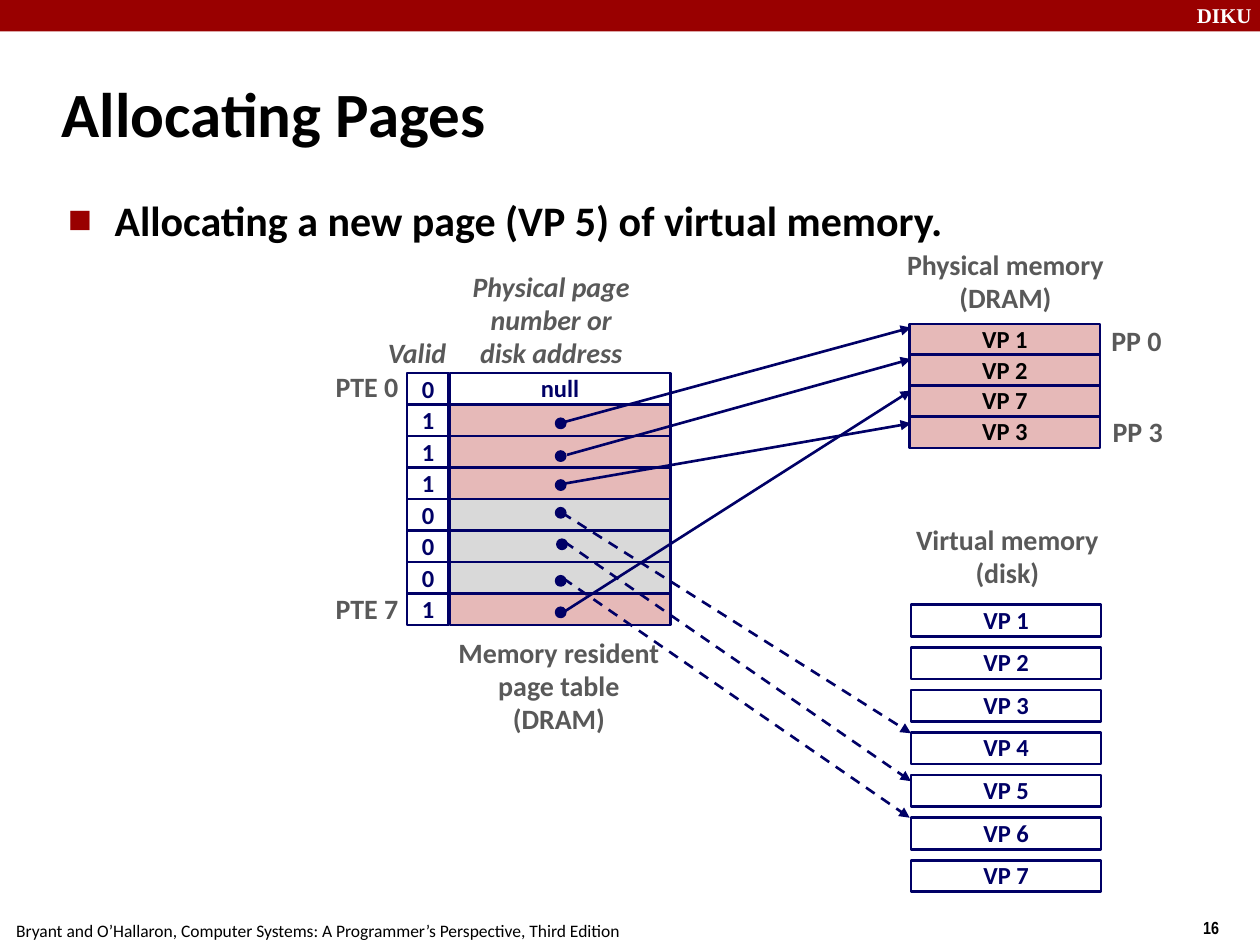
from lxml import etree
from pptx import Presentation
from pptx.dml.color import RGBColor
from pptx.enum.dml import MSO_LINE
from pptx.enum.shapes import MSO_CONNECTOR, MSO_SHAPE as SHAPE
from pptx.enum.text import MSO_ANCHOR as ANCHOR, MSO_AUTO_SIZE, PP_ALIGN as ALIGN
from pptx.oxml.ns import qn
from pptx.util import Inches, Pt

COLORS = {
    "red": "990000", "navy": "000066", "pink": "E6B9B8", "silver": "D9D9D9",
    "white": "FFFFFF", "black": "000000", "gray": "595959",
}


def write(box, lines, size, color, align=ALIGN.LEFT, anchor=ANCHOR.TOP,
          wrap=False, spacing=0.98, name="Calibri", bold=True, italic=False):
    frame = box.text_frame
    frame.auto_size = MSO_AUTO_SIZE.NONE
    frame.word_wrap = wrap
    frame.vertical_anchor = anchor
    font_values = {"name": name, "size": Pt(size), "bold": bold, "italic": italic}
    for index, line in enumerate(lines):
        para = frame.add_paragraph() if index else frame.paragraphs[0]
        para.alignment = align
        para.line_spacing = spacing
        span = para.add_run()
        span.text = line
        for key, value in font_values.items():
            setattr(span.font, key, value)
        span.font.color.rgb = RGBColor.from_string(COLORS[color])


def draw(kind, place, fill=None, line="navy", width=1.5):
    shape = page.shapes.add_shape(kind, *map(Inches, place))
    shape.shadow.inherit = False
    for part, color in ((shape.fill, fill), (shape.line.fill, line)):
        if color:
            part.solid()
            part.fore_color.rgb = RGBColor.from_string(COLORS[color])
        else:
            part.background()
    if line:
        shape.line.width = Pt(width)
    return shape


deck = Presentation()
deck.slide_width, deck.slide_height = Inches(10), Inches(7.5)
page = deck.slides.add_slide(deck.slide_layouts[1])

# Header band, title and bullet
draw(SHAPE.RECTANGLE, (0, 0, 10, 0.25), "red", None)
title, body = page.placeholders
for holder, place in ((title, (0.39, 0.48, 8.3, 0.83)), (body, (0.43, 1.49, 8.64, 5.44))):
    holder.left, holder.top, holder.width, holder.height = map(Inches, place)
bullet = body.text_frame.paragraphs[0]
bullet.space_before = Pt(0)
props = bullet._p.get_or_add_pPr()
props.set("marL", str(Inches(0.38)))
props.set("indent", str(Inches(-0.37)))
bullet_color = etree.SubElement(props, qn("a:buClr"))
etree.SubElement(bullet_color, qn("a:srgbClr"), val=COLORS["red"])
etree.SubElement(props, qn("a:buSzPct"), val="60000")
etree.SubElement(props, qn("a:buFont"), typeface="Wingdings 2")
etree.SubElement(props, qn("a:buChar"), char="■")
props.find(qn("a:buFont")).set("typeface", "Calibri")
write(title, ["Allocating Pages"], 36, "black", anchor=ANCHOR.MIDDLE, wrap=True, spacing=1)
write(body, ["Allocating a new page (VP 5) of virtual memory."], 24, "black",
      wrap=True, spacing=1)

# Page table: valid bit and address of each entry
ROW = 0.25
TABLE_TOP = 2.96
valid_bits = "01110001"
row_fills = ["white"] + ["pink"] * 3 + ["silver"] * 3 + ["pink"]
for index, (bit, fill) in enumerate(zip(valid_bits, row_fills)):
    top = TABLE_TOP + index * ROW
    address = draw(SHAPE.RECTANGLE, (3.57, top, 1.75, ROW), fill)
    if index == 0:
        write(address, ["null"], 14, "navy", ALIGN.CENTER, ANCHOR.MIDDLE)
    draw(SHAPE.RECTANGLE, (3.23, top, 0.33, ROW))
    digit = page.shapes.add_textbox(Inches(3.25), Inches(top - 0.03), Inches(0.3), Inches(0.34))
    write(digit, [bit], 14, "navy")

# Physical memory, stacked, and virtual memory on disk, spaced
memory_pages = [(7.22, 2.57 + i * 0.245, f"VP {n}", "pink", "black")
                for i, n in enumerate((1, 2, 7, 3))]
memory_pages += [(7.23, 4.8 + i * 0.338, f"VP {i + 1}", "white", "navy") for i in range(7)]
for left, top, label, fill, color in memory_pages:
    block = draw(SHAPE.RECTANGLE, (left, top, 1.51, ROW), fill)
    write(block, [label], 14, color, ALIGN.CENTER, ANCHOR.MIDDLE)

# Pointers from table entries: start, end, dot corner, dashed when on disk
pointers = [
    ((4.44, 3.36), (7.23, 2.6), (4.41, 3.32), False),
    ((4.5, 3.61), (7.23, 2.85), (4.41, 3.58), False),
    ((4.47, 3.84), (7.23, 3.36), (4.41, 3.81), False),
    ((4.46, 4.07), (7.23, 5.82), (4.41, 4.03), True),
    ((4.48, 4.3), (7.23, 6.2), (4.42, 4.28), True),
    ((4.47, 4.59), (7.22, 6.49), (4.41, 4.57), True),
    ((4.47, 4.86), (7.23, 3.1), (4.41, 4.82), False),
]
for start, end, dot, dashed in pointers:
    arrow = page.shapes.add_connector(MSO_CONNECTOR.STRAIGHT, *map(Inches, start + end))
    arrow.line.width = Pt(1.5)
    arrow.line.color.rgb = RGBColor.from_string(COLORS["navy"])
    if dashed:
        arrow.line.dash_style = MSO_LINE.DASH
    etree.SubElement(arrow.line._get_or_add_ln(), qn("a:tailEnd"), type="triangle")
    etree.SubElement(arrow._element.spPr, qn("a:effectLst"))
    draw(SHAPE.OVAL, (*dot, 0.08, 0.08), "navy", width=1)

# Diagram labels
center = {"align": ALIGN.CENTER}
middle = {"align": ALIGN.CENTER, "anchor": ANCHOR.MIDDLE}
right = {"align": ALIGN.RIGHT, "anchor": ANCHOR.MIDDLE}
labels = [
    ((3.54, 5.01, 1.79, 0.89), ["Memory resident", "page table", "(DRAM)"], center),
    ((7.1, 1.93, 1.76, 0.63), ["Physical memory", "(DRAM)"], center),
    ((7.17, 4.11, 1.65, 0.63), ["Virtual memory", "(disk)"], center),
    ((2.98, 2.63, 0.75, 0.37), ["Valid"], {"italic": True, "wrap": True}),
    ((3.65, 2.1, 1.45, 0.89), ["Physical page", "number or", "disk address"],
     {**middle, "italic": True}),
    ((2.57, 2.89, 0.69, 0.37), ["PTE 0"], right),
    ((2.57, 4.65, 0.69, 0.37), ["PTE 7"], right),
    ((8.72, 2.53, 0.6, 0.37), ["PP 0"], middle),
    ((8.73, 3.25, 0.6, 0.37), ["PP 3"], middle),
]
for place, lines, style in labels:
    write(page.shapes.add_textbox(*map(Inches, place)), lines, 16, "gray", **style)

# Header and footer text
margins = [
    ((9.4, -0.03, 0.67, 0.3), "DIKU", 12, "white", {"name": "Times New Roman", "wrap": True}),
    ((9.45, 7.23, 0.75, 0.29), "16", 10, "black", {"name": "Arial Narrow"}),
    ((0.03, 7.25, 4.99, 0.27),
     "Bryant and O’Hallaron, Computer Systems: A Programmer’s Perspective, Third Edition",
     10, "black", {"bold": False}),
]
for place, line, size, color, style in margins:
    box = page.shapes.add_textbox(*map(Inches, place))
    write(box, [line], size, color, spacing=1, **style)

deck.save("out.pptx")
